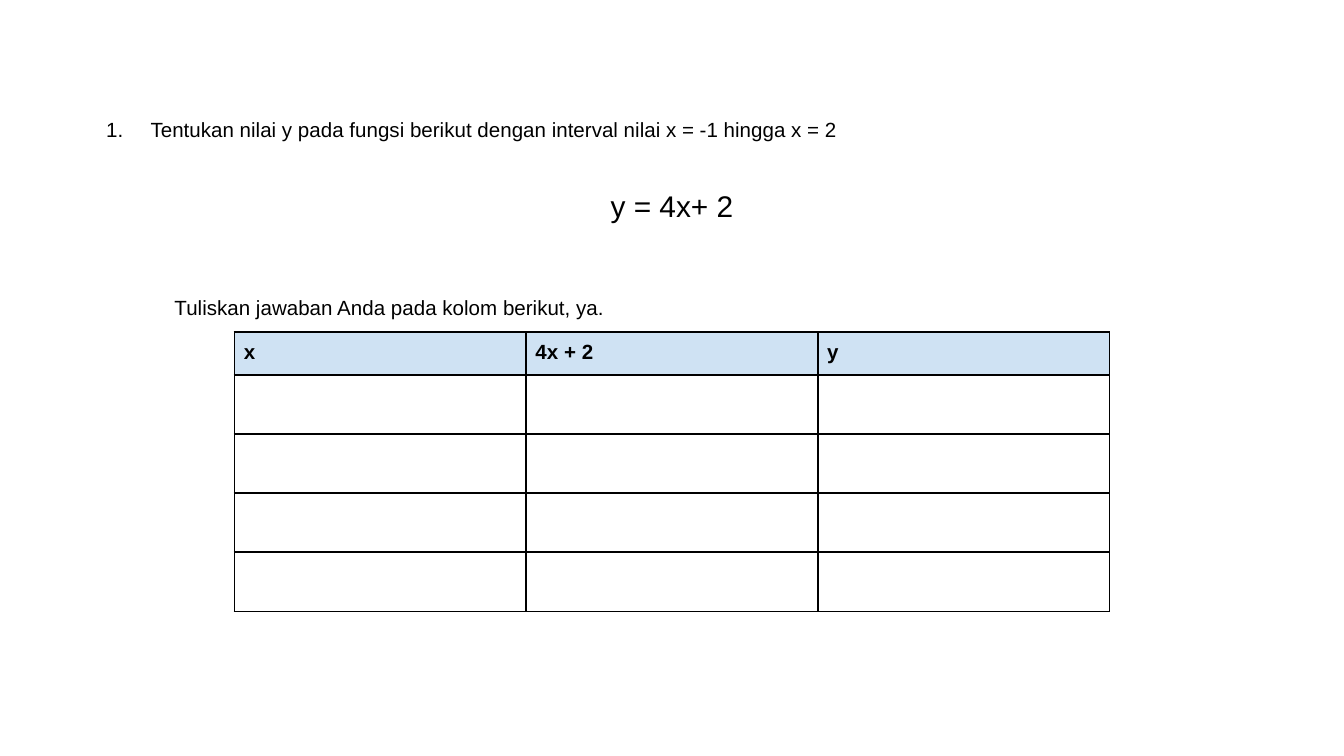
import pptx
import pptx.dml.color
import pptx.enum.text
import pptx.oxml.ns
import pptx.util
from lxml import etree

Inches, Pt = pptx.util.Inches, pptx.util.Pt
ALIGN = pptx.enum.text.PP_ALIGN

QUESTION = "Tentukan nilai y pada fungsi berikut dengan interval nilai x = -1 hingga x = 2"
FORMULA = "y = 4x+ 2"
INSTRUCTION = "Tuliskan jawaban Anda pada kolom berikut, ya."
HEADINGS = ("x", "4x + 2", "y")
ANSWER_ROWS = 4

INK, HEADER_FILL = "000000", "CFE2F3"
WIDTH = 10
HEIGHT = WIDTH * 9 / 16
COLUMN_WIDTH, HEADER_HEIGHT, ANSWER_HEIGHT = 2.17, 0.32, 0.44
TABLE_TOP = 2.47
CELL_INSET, TEXT_INSET = 0.07, 0.1


def colour(hex_value):
    """Turn a hex string into a colour."""
    return pptx.dml.color.RGBColor.from_string(hex_value)


def set_all(target, values):
    """Set every attribute in a dict of format values."""
    for name, value in values.items():
        setattr(target, name, value)


def add_xml(parent, tag, **attributes):
    """Append a drawing element to its parent."""
    return etree.SubElement(parent, pptx.oxml.ns.qn(tag), attributes)


def margins(inches):
    """Give four equal margins."""
    return {f"margin_{side}": Inches(inches) for side in ("left", "right", "top", "bottom")}


def write(paragraph, text, size=11, bold=False, **layout):
    """Write one formatted run into a paragraph."""
    set_all(paragraph, layout)
    run = paragraph.add_run()
    run.text = text
    set_all(run.font, {"size": Pt(size), "bold": bold, "name": "Arial"})
    run.font.color.rgb = colour(INK)


def set_marker(paragraph, hanging, left, tag, **attributes):
    """Set a paragraph's indents and its list marker."""
    properties = paragraph._p.get_or_add_pPr()
    properties.set("marL", str(Inches(left)))
    properties.set("indent", str(Inches(hanging)))
    add_xml(add_xml(properties, "a:buClr"), "a:srgbClr", val=INK)
    add_xml(properties, tag, **attributes)


def place(shape, left, top, width, height, anchor):
    """Place a text shape and prepare its frame."""
    set_all(shape, {"left": Inches(left), "top": Inches(top),
                    "width": Inches(width), "height": Inches(height)})
    set_all(shape.text_frame, {"word_wrap": True, "vertical_anchor": anchor,
                               "auto_size": pptx.enum.text.MSO_AUTO_SIZE.NONE,
                               **margins(TEXT_INSET)})
    return shape.text_frame


def style_cell(cell, fill=None):
    """Give a cell its margins, borders and fill."""
    set_all(cell, margins(CELL_INSET))
    properties = cell._tc.get_or_add_tcPr()
    for edge in "LRTB":
        border = add_xml(properties, f"a:ln{edge}", w=str(Pt(1)))
        add_xml(add_xml(border, "a:solidFill"), "a:srgbClr", val=INK)
    if fill:
        cell.fill.solid()
        cell.fill.fore_color.rgb = colour(fill)
    else:
        cell.fill.background()


deck = pptx.Presentation()
set_all(deck, {"slide_width": Inches(WIDTH), "slide_height": Inches(HEIGHT)})
slide = deck.slides.add_slide(deck.slide_layouts[1])
title, body = slide.placeholders
title.element.getparent().remove(title.element)

exercise = place(body, 0.52, 0.74, 8.96, 0.99, pptx.enum.text.MSO_ANCHOR.TOP)
question, formula = exercise.paragraphs[0], exercise.add_paragraph()
write(question, QUESTION, line_spacing=1.15, space_before=Pt(0), alignment=ALIGN.LEFT)
set_marker(question, -0.33, 0.5, "a:buAutoNum", type="arabicPeriod")
write(formula, FORMULA, 16, line_spacing=1.15, space_before=Pt(22), alignment=ALIGN.CENTER)
set_marker(formula, 0, 0, "a:buNone")

instruction = place(slide.shapes.add_textbox(0, 0, 0, 0), 1.2, 2.08, 6.5, 0.38,
                    pptx.enum.text.MSO_ANCHOR.MIDDLE)
write(instruction.paragraphs[0], INSTRUCTION, line_spacing=1.15)

table_width = COLUMN_WIDTH * len(HEADINGS)
answers = slide.shapes.add_table(
    ANSWER_ROWS + 1, len(HEADINGS), Inches((WIDTH - table_width) / 2), Inches(TABLE_TOP),
    Inches(table_width), Inches(HEADER_HEIGHT + ANSWER_ROWS * ANSWER_HEIGHT)).table
set_all(answers, {"first_row": False, "horz_banding": False})
for column in answers.columns:
    column.width = Inches(COLUMN_WIDTH)
for index, row in enumerate(answers.rows):
    row.height = Inches(ANSWER_HEIGHT if index else HEADER_HEIGHT)
    for cell, heading in zip(row.cells, HEADINGS):
        style_cell(cell, None if index else HEADER_FILL)
        paragraph = cell.text_frame.paragraphs[0]
        if index == 0:
            write(paragraph, heading, bold=True)
        else:
            add_xml(paragraph._p, "a:endParaRPr", sz="1100")

deck.save("out.pptx")
